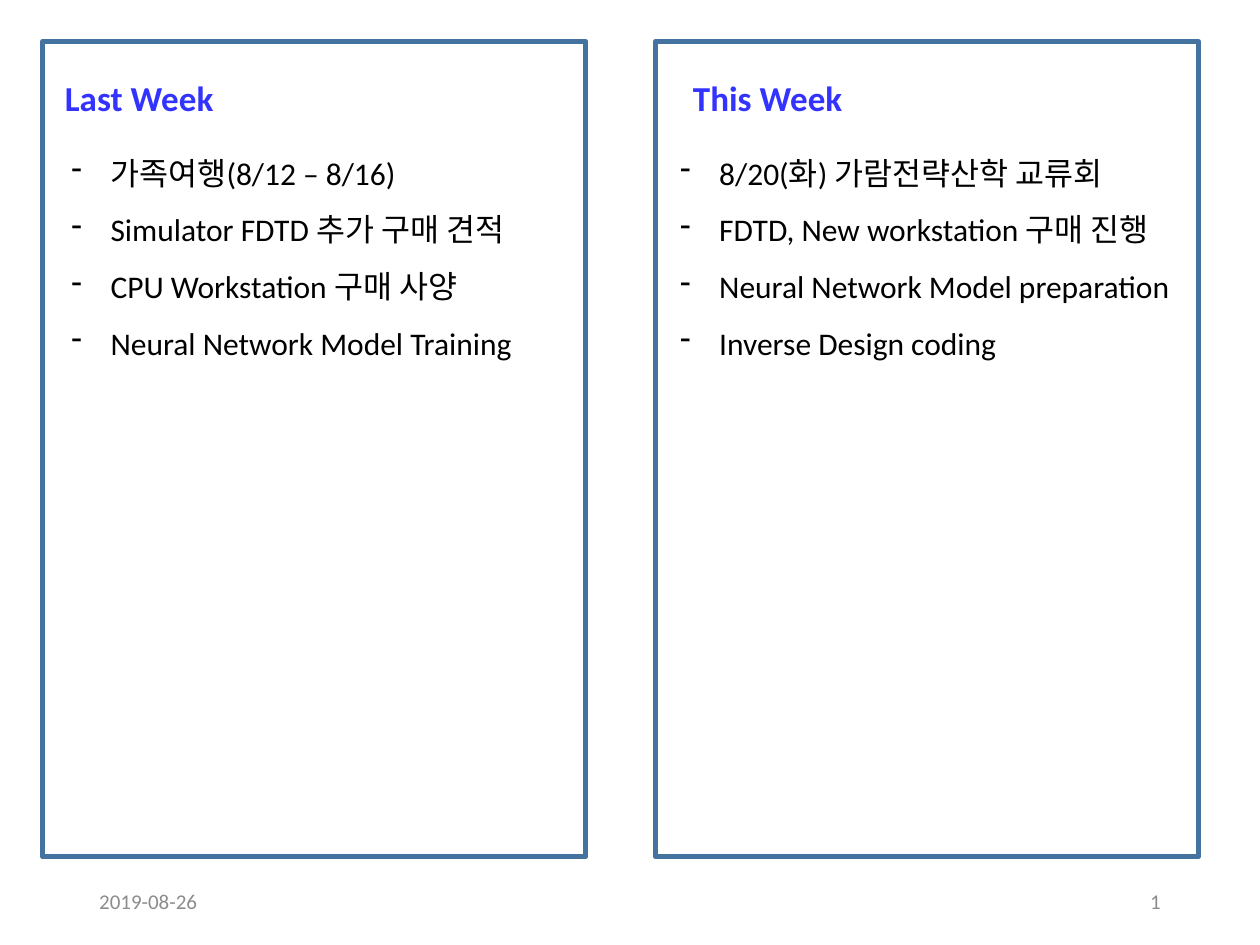
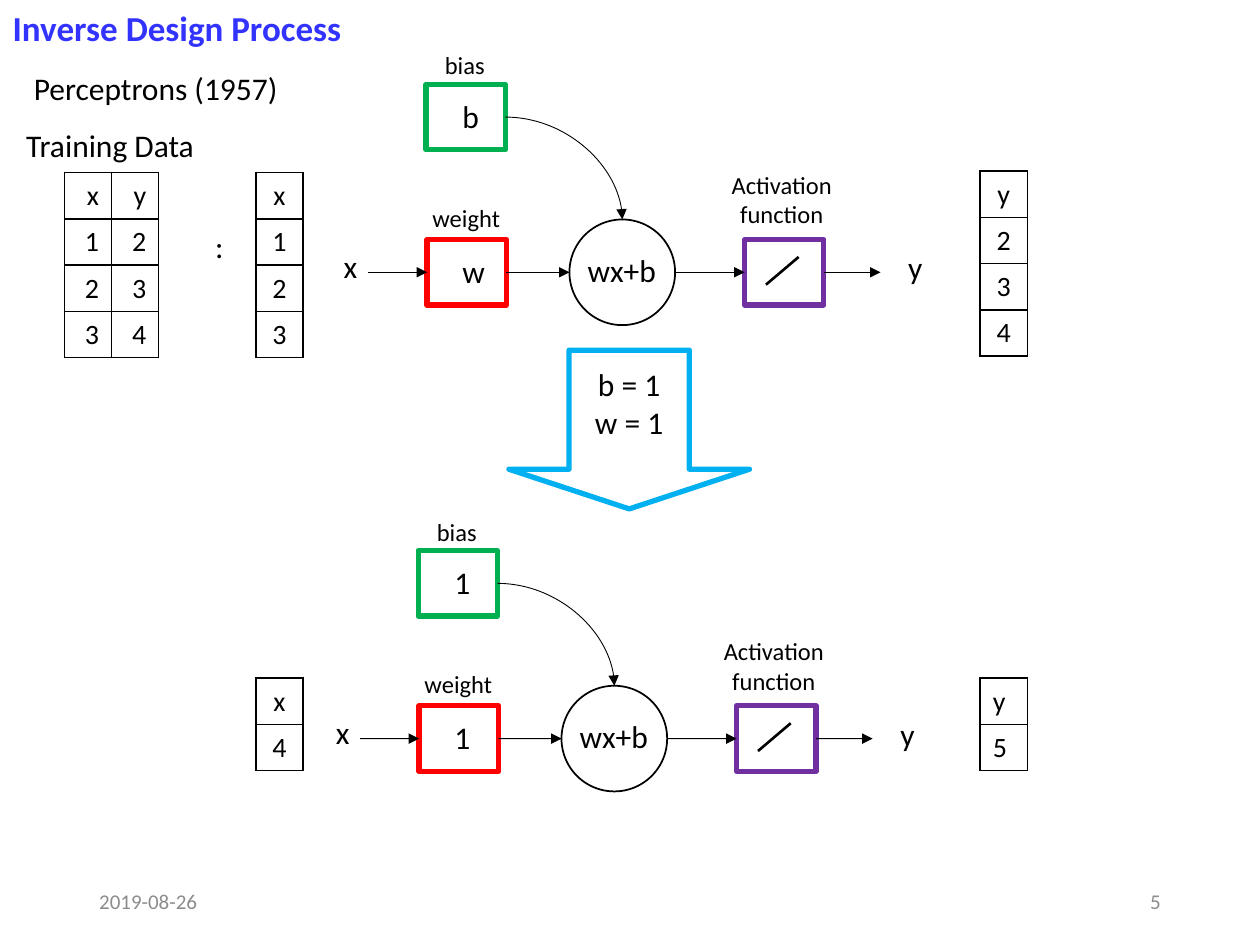
from lxml import etree
from pptx import Presentation
from pptx.dml.color import RGBColor
from pptx.enum.shapes import MSO_CONNECTOR, MSO_SHAPE
from pptx.enum.text import MSO_ANCHOR, MSO_AUTO_SIZE, PP_ALIGN
from pptx.oxml.ns import qn
from pptx.util import Cm, Pt

BLACK = RGBColor(0x00, 0x00, 0x00)
GREY = RGBColor(0x8C, 0x8C, 0x8C)
HEADING_BLUE = RGBColor(0x33, 0x33, 0xFF)
PANEL_BLUE = RGBColor(0x43, 0x73, 0x9E)
BIAS_GREEN = RGBColor(0x00, 0xB0, 0x50)
WEIGHT_RED = RGBColor(0xFF, 0x00, 0x00)
ACTIVATION_PURPLE = RGBColor(0x70, 0x30, 0xA0)
ARROW_CYAN = RGBColor(0x00, 0xB0, 0xF0)

LEFT, CENTER, RIGHT = PP_ALIGN.LEFT, PP_ALIGN.CENTER, PP_ALIGN.RIGHT
TOP, MIDDLE = MSO_ANCHOR.TOP, MSO_ANCHOR.MIDDLE
STRAIGHT, CURVE = MSO_CONNECTOR.STRAIGHT, MSO_CONNECTOR.CURVE
RECTANGLE, OVAL, DOWN_ARROW = MSO_SHAPE.RECTANGLE, MSO_SHAPE.OVAL, MSO_SHAPE.DOWN_ARROW
LEFT_SIDE, RIGHT_SIDE = 1, 3

FONT = "Calibri"
HEADING = {"size": Pt(20), "bold": True, "color": HEADING_BLUE}
BODY = {"size": Pt(18), "color": BLACK}
CELL = {"size": Pt(16), "color": BLACK}
LABEL = {"size": Pt(14), "color": BLACK}
FOOTER = {"size": Pt(12), "color": GREY}

TITLE_ONLY, BLANK = 5, 6
DATE = "2019-08-26"
BOX_WIDTH, BOX_HEIGHT = 1.6, 1.32
CIRCLE_SIZE = 2.13
CELL_WIDTH, ROW_HEIGHT = 0.95, 0.93


def format_font(font, style):
    for name, value in {"name": FONT, **style}.items():
        if name == "color":
            font.color.rgb = value
        else:
            setattr(font, name, value)


def write_lines(text_frame, lines, style, align=LEFT):
    for index, line in enumerate(lines):
        paragraph = text_frame.paragraphs[0] if index == 0 else text_frame.add_paragraph()
        paragraph.alignment = align
        run = paragraph.add_run()
        run.text = line
        format_font(run.font, style)


def add_text(shapes, box, lines, style, align=LEFT, anchor=TOP, wrap=True):
    text_frame = shapes.add_textbox(*map(Cm, box)).text_frame
    text_frame.word_wrap = wrap
    text_frame.vertical_anchor = anchor
    write_lines(text_frame, lines, style, align)
    return text_frame


def add_outline(shapes, kind, box, color, width):
    """Add an unfilled preset shape."""
    shape = shapes.add_shape(kind, *map(Cm, box))
    shape.shadow.inherit = False
    shape.fill.background()
    shape.line.color.rgb = color
    shape.line.width = Pt(width)
    return shape


def add_line(shapes, start, end, width=0.5, kind=STRAIGHT, arrow=True):
    connector = shapes.add_connector(kind, *map(Cm, (*start, *end)))
    connector.line.color.rgb = BLACK
    connector.line.width = Pt(width)
    if arrow:
        line = connector.line._get_or_add_ln()
        etree.SubElement(line, qn("a:tailEnd"), type="triangle")
    properties = connector._element.spPr
    etree.SubElement(properties, qn("a:effectLst"))
    if kind == CURVE:
        properties.find(qn("a:prstGeom")).set("prst", "curvedConnector2")
    return connector


def add_dashes(text_frame):
    for paragraph in text_frame.paragraphs:
        paragraph.line_spacing = 1.5
        properties = paragraph._p.get_or_add_pPr()
        properties.set("marL", str(Cm(0.79)))
        properties.set("indent", str(-Cm(0.79)))
        etree.SubElement(properties, qn("a:buFontTx"))
        etree.SubElement(properties, qn("a:buChar"), char="-")


def add_borders(cell):
    properties = cell._tc.get_or_add_tcPr()
    for index, side in enumerate(("lnL", "lnR", "lnT", "lnB")):
        line = etree.Element(qn(f"a:{side}"), w=str(Pt(1)))
        fill = etree.SubElement(line, qn("a:solidFill"))
        etree.SubElement(fill, qn("a:srgbClr"), val=str(BLACK))
        properties.insert(index, line)


def add_data_table(slide, left, top, rows, align=CENTER):
    size = (CELL_WIDTH * len(rows[0]), ROW_HEIGHT * len(rows))
    table = slide.shapes.add_table(len(rows), len(rows[0]), *map(Cm, (left, top, *size))).table
    table.first_row = table.horz_banding = False
    for row_index, values in enumerate(rows):
        for column_index, value in enumerate(values):
            cell = table.cell(row_index, column_index)
            cell.fill.background()
            add_borders(cell)
            write_lines(cell.text_frame, [value], CELL, align)


def add_footer(slide, number):
    for left, text, align in ((1.75, DATE, LEFT), (17.93, number, RIGHT)):
        add_text(slide.shapes, (left, 17.65, 5.72, 1.02), [text], FOOTER, align, MIDDLE)


def add_week_panel(slide, left, heading, heading_indent, items, items_indent):
    top = 0.84
    add_text(slide.shapes, (left + heading_indent, top + 0.58, 3.55, 1.12),
             [heading], HEADING, wrap=False)
    add_dashes(add_text(slide.shapes, (left + items_indent, top + 1.75, 10.54, 4.88), items, BODY))
    add_outline(slide.shapes, RECTANGLE, (left, top, 10.95, 16.43), PANEL_BLUE, 3)


def add_perceptron(slide, left, top, weight, bias):
    """Draw x -> weight -> wx+b -> activation -> y, with the bias above."""
    shapes = slide.shapes.add_group_shape().shapes

    def at(x, y):
        return left + x, top + y

    axis = 4.6
    circle_left, circle_top = 4.8, axis - CIRCLE_SIZE / 2
    circle_right = circle_left + CIRCLE_SIZE
    box_top = axis - BOX_HEIGHT / 2

    add_outline(shapes, OVAL, (*at(circle_left, circle_top), CIRCLE_SIZE, CIRCLE_SIZE), BLACK, 1)
    weight_box, activation_box, _ = [
        add_outline(shapes, RECTANGLE, (*at(x, y), BOX_WIDTH, BOX_HEIGHT), color, 3)
        for x, y, color in ((1.93, box_top, WEIGHT_RED),
                            (8.33, box_top, ACTIVATION_PURPLE),
                            (1.91, 0.81, BIAS_GREEN))]

    add_line(shapes, at(0.74, axis), at(1.93, axis)).end_connect(weight_box, LEFT_SIDE)
    add_line(shapes, at(3.53, axis), at(circle_left, axis)).begin_connect(weight_box, RIGHT_SIDE)
    add_line(shapes, at(circle_right, axis), at(8.33, axis)).end_connect(activation_box, LEFT_SIDE)
    add_line(shapes, at(9.93, axis), at(11.07, axis)).begin_connect(activation_box, RIGHT_SIDE)
    add_line(shapes, at(3.51, 0.81 + BOX_HEIGHT / 2),
             at(circle_left + CIRCLE_SIZE / 2, circle_top), kind=CURVE)
    add_line(shapes, at(8.76, 4.85), at(9.42, 4.29), width=1.5, arrow=False)

    for x, y, width, text in ((0, 3.96, 0.66, "x"), (2.39, 4.06, 0.66, weight),
                              (4.85, 4.04, 2.01, "wx+b"), (11.38, 3.99, 0.66, "y"),
                              (2.39, 0.94, 0.66, bias)):
        add_text(shapes, (*at(x, y), width, 1.02), [text], BODY, CENTER)
    for x, y, width, lines in ((1.73, 3.07, 1.98, ["weight"]), (2.03, 0, 1.32, ["bias"]),
                               (7.77, 2.41, 2.62, ["Activation", "function"])):
        add_text(shapes, (*at(x, y), width, 0.86), lines, LABEL, CENTER)


def add_result_arrow(slide, box, lines):
    arrow = add_outline(slide.shapes, DOWN_ARROW, box, ARROW_CYAN, 3)
    arrow.adjustments[0], arrow.adjustments[1] = 0.5, 0.25
    arrow.text_frame.vertical_anchor = TOP
    arrow.text_frame.margin_top = Cm(0.3)
    write_lines(arrow.text_frame, lines, BODY, CENTER)


def set_title(slide, text):
    title = slide.shapes.title
    for name, value in zip(("left", "top", "width", "height"), (0, 0, 7.21, 1.12)):
        setattr(title, name, Cm(value))
    text_frame = title.text_frame
    text_frame.auto_size = MSO_AUTO_SIZE.NONE
    text_frame.word_wrap = False
    text_frame.vertical_anchor = TOP
    write_lines(text_frame, [text], HEADING)


def build_week_slide(presentation):
    slide = presentation.slides.add_slide(presentation.slide_layouts[BLANK])
    add_footer(slide, "1")
    add_week_panel(slide, 0.86, "Last Week", 0.2, [
        "가족여행(8/12 – 8/16)",
        "Simulator FDTD 추가 구매 견적",
        "CPU Workstation 구매 사양",
        "Neural Network Model Training"], 0.33)
    add_week_panel(slide, 13.21, "This Week", 0.51, [
        "8/20(화) 가람전략산학 교류회",
        "FDTD, New workstation 구매 진행",
        "Neural Network Model preparation",
        "Inverse Design coding"], 0.25)


def build_process_slide(presentation):
    slide = presentation.slides.add_slide(presentation.slide_layouts[TITLE_ONLY])
    set_title(slide, "Inverse Design Process")
    add_footer(slide, "5")
    add_text(slide.shapes, (0.41, 1.27, 5.46, 1.02), ["Perceptrons (1957)"], BODY, CENTER)
    add_text(slide.shapes, (0.28, 2.41, 3.94, 1.02), ["Training Data"], BODY, wrap=False)
    add_text(slide.shapes, (4.09, 4.45, 0.69, 1.02), [":"], BODY, wrap=False)

    inputs, outputs = ["x", "1", "2", "3"], ["y", "2", "3", "4"]
    add_data_table(slide, 1.3, 3.48, list(zip(inputs, outputs)), RIGHT)
    add_data_table(slide, 5.16, 3.48, list(zip(inputs)))
    add_data_table(slide, 19.76, 3.45, list(zip(outputs)))
    add_perceptron(slide, 6.68, 0.89, "w", "b")

    add_result_arrow(slide, (10.26, 7.06, 4.85, 3.2), ["b = 1", "w = 1"])

    add_data_table(slide, 5.16, 13.67, ["x", "4"])
    add_data_table(slide, 19.76, 13.67, ["y", "5"], LEFT)
    add_perceptron(slide, 6.52, 10.29, "1", "1")


def main():
    presentation = Presentation()
    presentation.slide_width, presentation.slide_height = Cm(25.4), Cm(19.05)
    build_week_slide(presentation)
    build_process_slide(presentation)
    presentation.save("out.pptx")


if __name__ == "__main__":
    main()
